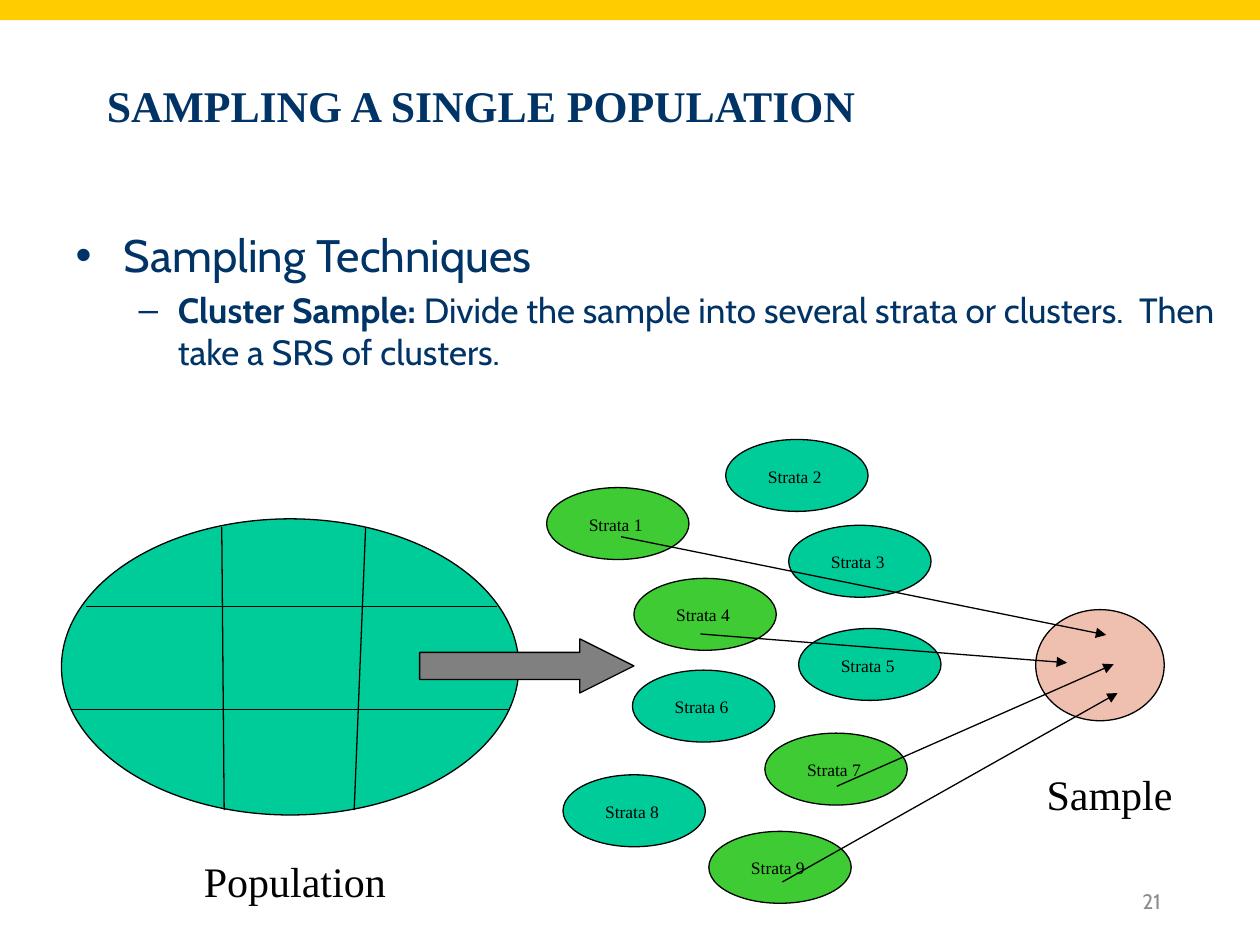
from lxml import etree
from pptx import Presentation
from pptx.dml.color import RGBColor
from pptx.enum import shapes, text
from pptx.oxml.ns import qn
from pptx.util import Cm, Pt

HUES = {"gold": "FFCC00", "navy": "003366", "teal": "00CC99", "green": "3ECB33",
        "pink": "EFC0AF", "gray": "808080", "pale": "8C8C8C", "black": "000000"}
SERIF, SANS = "Times New Roman", "Cabin"

TITLE = "SAMPLING A SINGLE POPULATION"
BODY = [
    (0, "•", 26, 0.97, -0.97, [("Sampling Techniques", False)]),
    (1, "–", 20, 2.06, -0.79, [
        ("Cluster Sample: ", True),
        ("Divide the sample into several strata or clusters.  Then take a SRS of clusters.", False)]),
]
STRATA = [(11.02, 9.83), (14.63, 8.86), (15.9, 10.59),
          (12.78, 11.66), (16.1, 12.67), (12.75, 13.51),
          (15.42, 14.78), (11.35, 15.62), (14.29, 16.76)]
CHOSEN = {1, 4, 7, 9}
GRID = [(1.73, 12.22, 10.01, 12.22), (1.45, 14.3, 10.24, 14.3),
        (4.47, 10.62, 4.52, 16.33), (7.37, 10.64, 7.14, 16.33)]
PICKS = [(12.52, 10.82, 22.3, 12.8), (14.12, 12.78, 21.51, 13.36),
         (15.77, 17.78, 22.53, 13.97), (16.87, 15.85, 22.45, 13.39)]
LABELS = [("Population", 3.86, 17.12, 4.6, 1.3), ("Sample", 20.85, 15.37, 3.81, 1.02)]


def hue(name):
    return RGBColor.from_string(HUES[name])


def style(run, size, face, color, bold=False):
    font = run.font
    font.size, font.name, font.bold = Pt(size), face, bold
    font.color.rgb = hue(color)


def place(item, *box):
    item.left, item.top, item.width, item.height = map(Cm, box)


def shape(slide, kind, fill, *box, edge=True):
    item = slide.shapes.add_shape(kind, *map(Cm, box))
    item.shadow.inherit = False
    item.fill.solid()
    item.fill.fore_color.rgb = hue(fill)
    if edge:
        item.line.color.rgb = hue("black")
        item.line.width = Pt(0.75)
    else:
        item.line.fill.background()
    return item


def label(slide, words, size, *box, face=SERIF, color="black", align=text.PP_ALIGN.LEFT):
    frame = slide.shapes.add_textbox(*map(Cm, box)).text_frame
    frame.word_wrap = True
    frame.text = words
    para = frame.paragraphs[0]
    para.alignment = align
    style(para.runs[0], size, face, color)
    return frame


def line(slide, ends, head=False):
    item = slide.shapes.add_connector(shapes.MSO_CONNECTOR.STRAIGHT, *map(Cm, ends))
    item.line.color.rgb = hue("black")
    item.line.width = Pt(0.75)
    if head:
        etree.SubElement(item.line._get_or_add_ln(), qn("a:tailEnd"), type="triangle")
    etree.SubElement(item._element.spPr, qn("a:effectLst"))


def heads(slide):
    title, body = slide.placeholders
    place(title, 1.9, 1.07, 21.59, 2.11)
    frame = title.text_frame
    frame.text = TITLE
    frame.auto_size = text.MSO_AUTO_SIZE.NONE
    frame.vertical_anchor = text.MSO_ANCHOR.MIDDLE
    frame.paragraphs[0].alignment = text.PP_ALIGN.LEFT
    style(frame.paragraphs[0].runs[0], 25, SERIF, "navy", True)

    place(body, 1.27, 4.45, 23.65, 12.57)
    frame = body.text_frame
    frame.auto_size = text.MSO_AUTO_SIZE.NONE
    for i, (level, mark, size, left, hang, parts) in enumerate(BODY):
        para = frame.add_paragraph() if i else frame.paragraphs[0]
        para.level = level
        para.space_before = Pt(size * 0.2)
        props = para._p.get_or_add_pPr()
        props.set("marL", str(Cm(left)))
        props.set("indent", str(Cm(hang)))
        etree.SubElement(props, qn("a:buFont"), typeface="Arial")
        etree.SubElement(props, qn("a:buChar"), char=mark)
        for words, bold in parts:
            run = para.add_run()
            run.text = words
            style(run, size, SANS, "navy", bold)


def main():
    deck = Presentation()
    deck.slide_width, deck.slide_height = Cm(25.4), Cm(19.05)
    slide = deck.slides.add_slide(deck.slide_layouts[1])
    kind = shapes.MSO_SHAPE
    shape(slide, kind.RECTANGLE, "gold", 0, 0, 25.4, 0.41, edge=False)
    heads(slide)

    shape(slide, kind.OVAL, "teal", 1.24, 10.46, 9.22, 5.97)
    for ends in GRID:
        line(slide, ends)
    arrow = shape(slide, kind.RIGHT_ARROW, "gray", 8.46, 12.88, 4.32, 1.09)
    arrow.adjustments[0], arrow.adjustments[1] = 0.5, 1

    for num, (x, y) in enumerate(STRATA, 1):
        shape(slide, kind.OVAL, "green" if num in CHOSEN else "teal", x, y, 2.87, 1.45)
        label(slide, f"Strata {num}", 10, x + 0.6, y + 0.4, 1.85, 0.69)

    shape(slide, kind.OVAL, "pink", 20.88, 12.29, 2.59, 2.24)
    for ends in PICKS:
        line(slide, ends, head=True)
    for words, *box in LABELS:
        label(slide, words, 24, *box)
    page = label(slide, "21", 12, 17.93, 17.65, 5.72, 1.02,
                 face=SANS, color="pale", align=text.PP_ALIGN.RIGHT)
    page.vertical_anchor = text.MSO_ANCHOR.MIDDLE
    deck.save("out.pptx")


if __name__ == "__main__":
    main()
